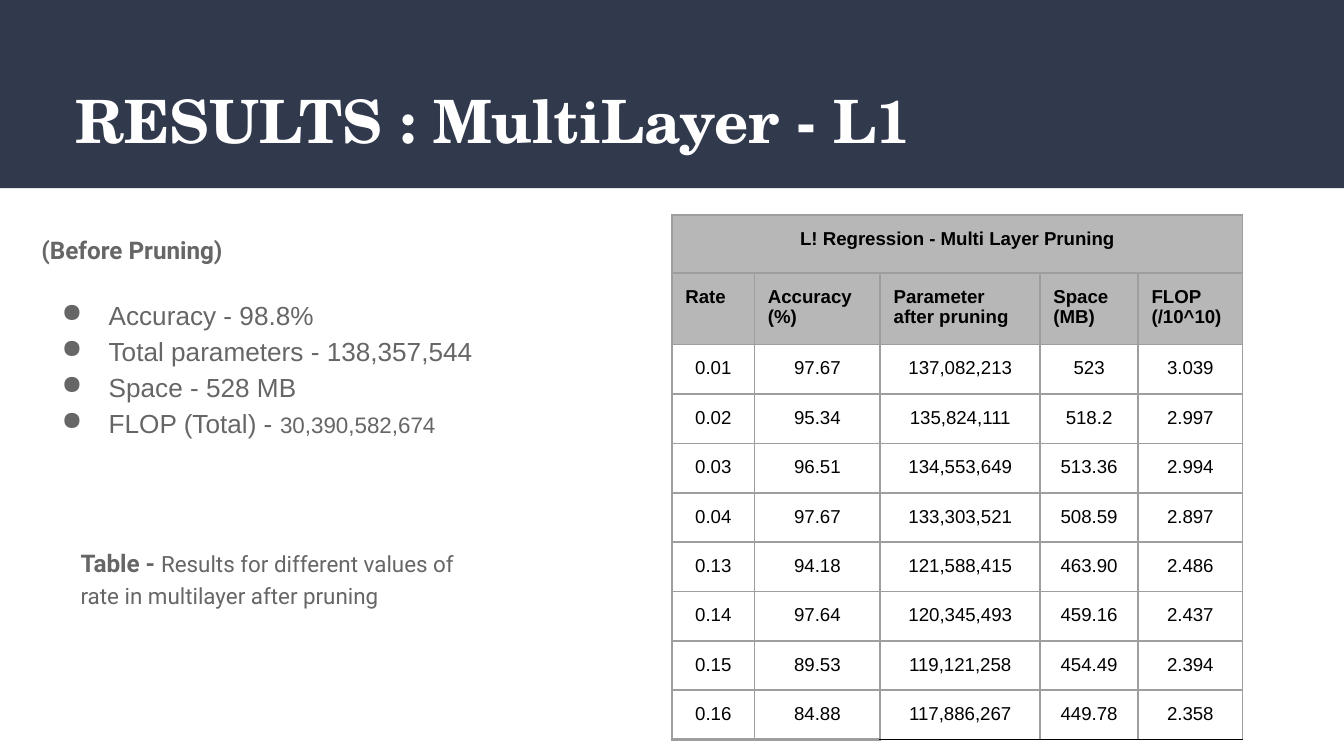
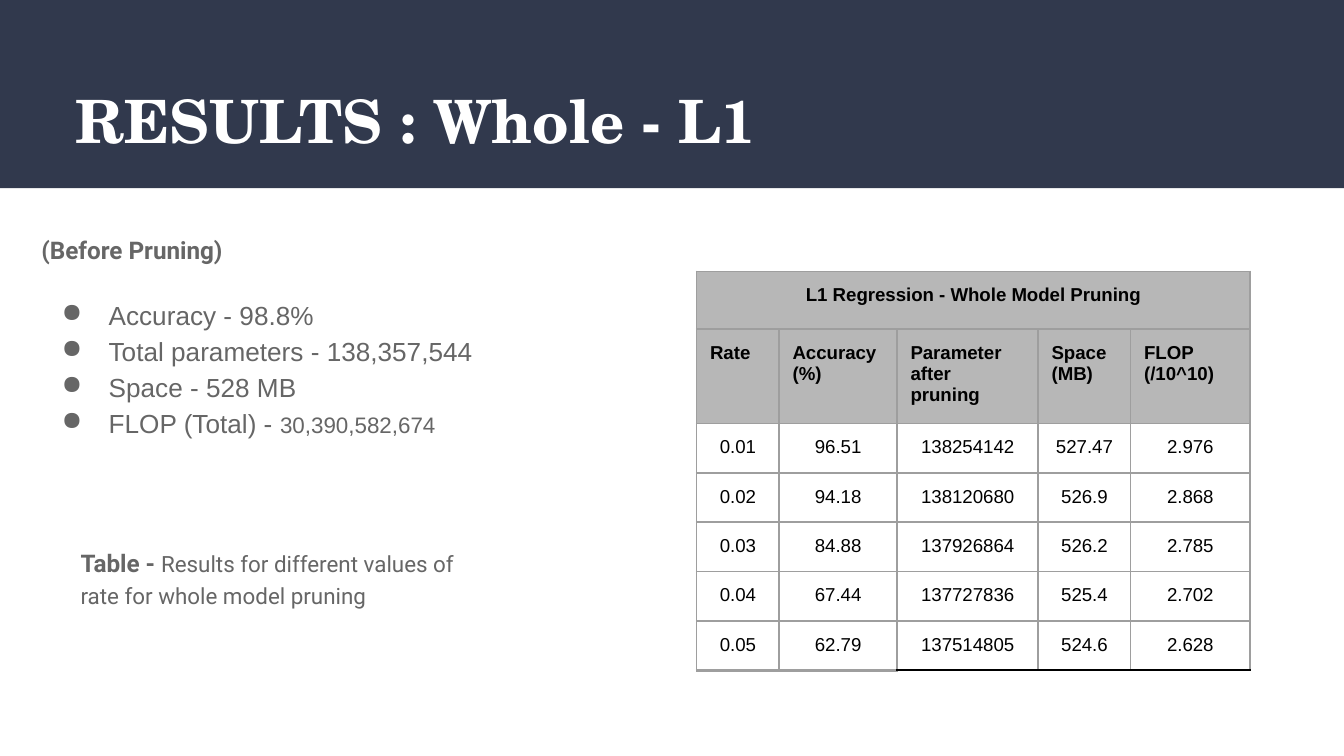
from lxml.etree import SubElement
from pptx import Presentation
from pptx.dml.color import RGBColor
from pptx.enum.shapes import MSO_SHAPE
from pptx.enum.text import MSO_ANCHOR, PP_ALIGN
from pptx.oxml.ns import qn
from pptx.util import Pt

COLOURS = {"band": "31394D", "title": "FFFFFF", "body": "666666", "cell": "000000",
           "header": "B7B7B7", "data": "FFFFFF", "grid": "9E9E9E", "table_end": "000000"}
SERIF, SANS, TABLE_FONT = "TeX Gyre Schola", "Roboto", "Arial"

# Each run is (text, size, font, bold)
BEFORE_HEADING = ("(Before Pruning)", 13, SANS, True)
BEFORE_PRUNING = [
    [("Accuracy - 98.8%", 14, TABLE_FONT, False)],
    [("Total parameters - 138,357,544", 14, TABLE_FONT, False)],
    [("Space - 528 MB", 14, TABLE_FONT, False)],
    [("FLOP (Total) - ", 14, TABLE_FONT, False), ("30,390,582,674", 12, TABLE_FONT, False)],
]
COLUMN_HEADS = ["Rate", "Accuracy (%)", "Parameter after pruning", "Space (MB)", "FLOP (/10^10)"]
RESULTS = [
    {
        "title": "RESULTS : MultiLayer - L1",
        "caption": "Results for different values of rate in multilayer after pruning",
        "table_title": "L! Regression - Multi Layer Pruning",
        "table_at": (360, 115.2),
        "columns": [44.2, 67.4, 85.6, 52.6, 55.8],
        "rows": [
            ("0.01", "97.67", "137,082,213", "523", "3.039"),
            ("0.02", "95.34", "135,824,111", "518.2", "2.997"),
            ("0.03", "96.51", "134,553,649", "513.36", "2.994"),
            ("0.04", "97.67", "133,303,521", "508.59", "2.897"),
            ("0.13", "94.18", "121,588,415", "463.90", "2.486"),
            ("0.14", "97.64", "120,345,493", "459.16", "2.437"),
            ("0.15", "89.53", "119,121,258", "454.49", "2.394"),
            ("0.16", "84.88", "117,886,267", "449.78", "2.358"),
        ],
    },
    {
        "title": "RESULTS : Whole - L1",
        "caption": "Results for different values of rate for whole model pruning",
        "table_title": "L1 Regression - Whole Model Pruning",
        "table_at": (373.2, 145.4),
        "columns": [44.2, 63.2, 75.6, 49.6, 63.8],
        "rows": [
            ("0.01", "96.51", "138254142", "527.47", "2.976"),
            ("0.02", "94.18", "138120680", "526.9", "2.868"),
            ("0.03", "84.88", "137926864", "526.2", "2.785"),
            ("0.04", "67.44", "137727836", "525.4", "2.702"),
            ("0.05", "62.79", "137514805", "524.6", "2.628"),
        ],
    },
]

SLIDE_WIDTH, SLIDE_HEIGHT = 720, 405
BAND_HEIGHT = 100.8
INSET = 7.2
HEAD_ROW_HEIGHT, DATA_ROW_HEIGHT = 31, 20.8
LINE_SPACING = 1.15


def rgb(role):
    return RGBColor.from_string(COLOURS[role])


def set_margins(holder):
    holder.margin_left = holder.margin_right = Pt(INSET)
    holder.margin_top = holder.margin_bottom = Pt(INSET)


def add_runs(paragraph, runs, role):
    for text, size, font, bold in runs:
        run = paragraph.add_run()
        run.text = text
        run.font.size, run.font.name, run.font.bold = Pt(size), font, bold
        run.font.color.rgb = rgb(role)


def add_text_frame(slide, left, top, width, height):
    frame = slide.shapes.add_textbox(Pt(left), Pt(top), Pt(width), Pt(height)).text_frame
    frame.word_wrap = True
    set_margins(frame)
    return frame


def add_bullet(paragraph):
    properties = paragraph._p.get_or_add_pPr()
    properties.set("marL", str(Pt(36)))
    properties.set("indent", str(-Pt(25.2)))
    colour = SubElement(properties, qn("a:buClr"))
    SubElement(colour, qn("a:srgbClr"), val=COLOURS["body"])
    SubElement(properties, qn("a:buChar"), char="●")


def add_title_band(slide, title):
    band = slide.shapes.add_shape(MSO_SHAPE.RECTANGLE, 0, 0, Pt(SLIDE_WIDTH), Pt(BAND_HEIGHT))
    band.shadow.inherit = False
    band.fill.solid()
    band.fill.fore_color.rgb = rgb("band")
    band.line.fill.background()
    frame = add_text_frame(slide, 24.5, 39.6, 671, 49)
    frame.margin_left = Pt(16)
    frame.vertical_anchor = MSO_ANCHOR.MIDDLE
    add_runs(frame.paragraphs[0], [(title, 32, SERIF, True)], "title")


def add_before_pruning(slide):
    frame = add_text_frame(slide, 15.1, 116.6, 265, 274.4)
    heading = frame.paragraphs[0]
    heading.line_spacing = LINE_SPACING
    add_runs(heading, [BEFORE_HEADING], "body")
    for index, runs in enumerate(BEFORE_PRUNING):
        measure = frame.add_paragraph()
        add_bullet(measure)
        measure.line_spacing = LINE_SPACING
        if index == 0:
            measure.space_before = Pt(16)
        add_runs(measure, runs, "body")


def add_caption(slide, caption):
    frame = add_text_frame(slide, 0, 284.4, 269.3, 45.4)
    frame.margin_left = Pt(36 + INSET)
    paragraph = frame.paragraphs[0]
    paragraph.line_spacing = LINE_SPACING
    add_runs(paragraph, [("Table - ", 13, SANS, True), (caption, 12, SANS, False)], "body")


def set_borders(cell, bottom_role, bottom_width):
    sides = [(side, "grid", 1) for side in ("lnL", "lnR", "lnT")]
    for side, role, width in sides + [("lnB", bottom_role, bottom_width)]:
        line = SubElement(cell._tc.get_or_add_tcPr(), qn(f"a:{side}"), w=str(Pt(width)))
        fill = SubElement(line, qn("a:solidFill"))
        SubElement(fill, qn("a:srgbClr"), val=COLOURS[role])


def bottom_border(row, column, last_row):
    """The table's lower edge is thick grey under two columns, then thin black."""
    if row < last_row:
        return "grid", 1
    return ("grid", 2) if column < 2 else ("table_end", 1)


def add_results_table(slide, result):
    title_row = [result["table_title"]] + [""] * (len(COLUMN_HEADS) - 1)
    rows = [title_row, COLUMN_HEADS, *result["rows"]]
    heights = [HEAD_ROW_HEIGHT] * 2 + [DATA_ROW_HEIGHT] * len(result["rows"])
    left, top = result["table_at"]
    table = slide.shapes.add_table(len(rows), len(COLUMN_HEADS), Pt(left), Pt(top),
                                   Pt(sum(result["columns"])), Pt(sum(heights))).table
    for column, width in zip(table.columns, result["columns"]):
        column.width = Pt(width)
    for row, height in zip(table.rows, heights):
        row.height = Pt(height)
    for r, texts in enumerate(rows):
        for c, text in enumerate(texts):
            cell = table.cell(r, c)
            set_margins(cell)
            set_borders(cell, *bottom_border(r, c, len(rows) - 1))
            cell.fill.solid()
            cell.fill.fore_color.rgb = rgb("header" if r < 2 else "data")
            paragraph = cell.text_frame.paragraphs[0]
            paragraph.alignment = PP_ALIGN.LEFT if r == 1 else PP_ALIGN.CENTER
            if text:
                add_runs(paragraph, [(text, 10, TABLE_FONT, r < 2)], "cell")
    table.cell(0, 0).merge(table.cell(0, len(COLUMN_HEADS) - 1))


def main():
    presentation = Presentation()
    presentation.slide_width, presentation.slide_height = Pt(SLIDE_WIDTH), Pt(SLIDE_HEIGHT)
    for result in RESULTS:
        slide = presentation.slides.add_slide(presentation.slide_layouts[6])
        add_title_band(slide, result["title"])
        add_before_pruning(slide)
        add_caption(slide, result["caption"])
        add_results_table(slide, result)
    presentation.save("out.pptx")


if __name__ == "__main__":
    main()
